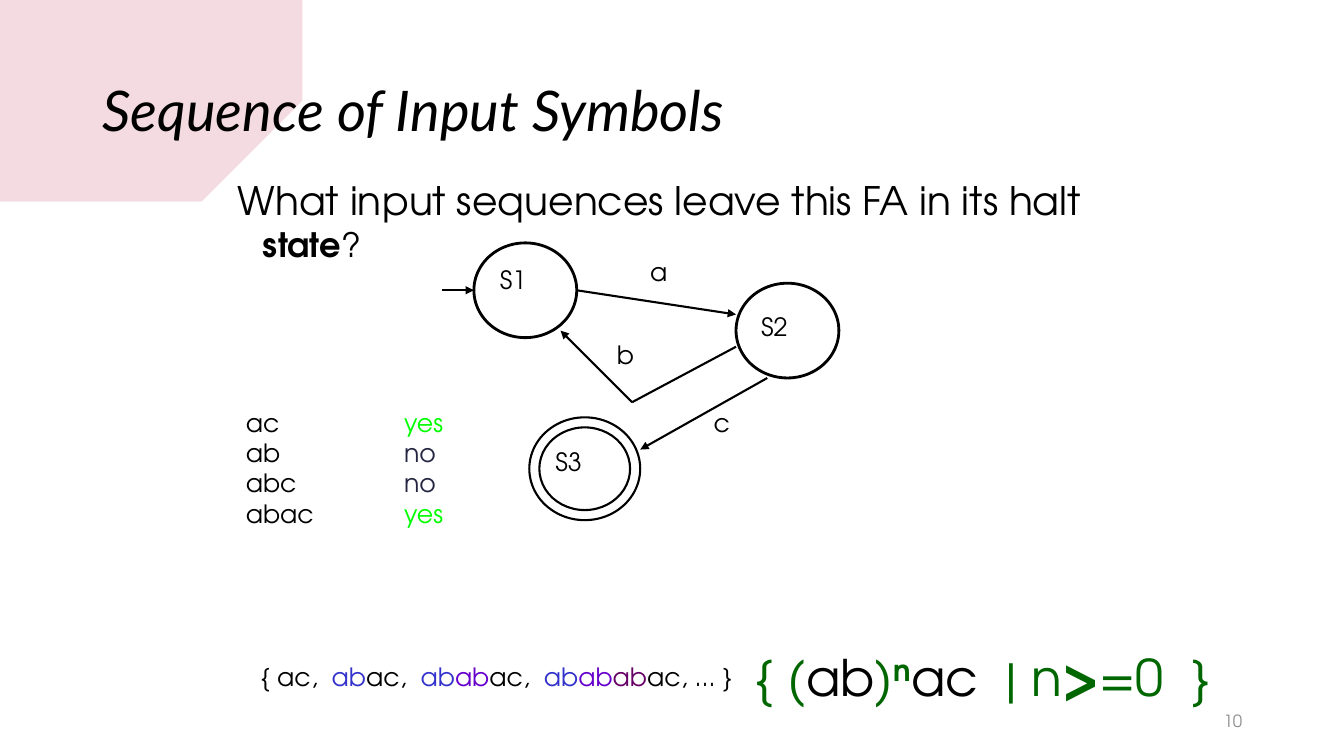
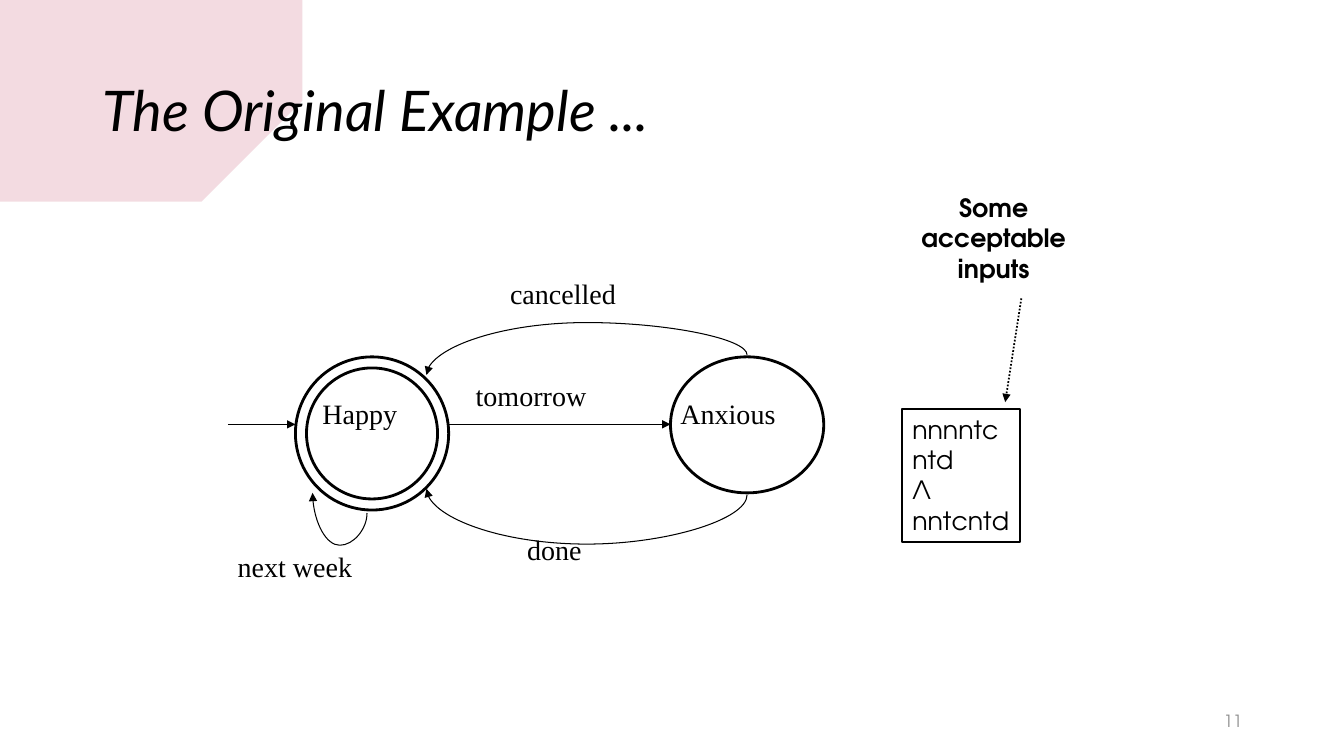
from dataclasses import dataclass

from lxml import etree
from pptx import Presentation
from pptx.dml.color import RGBColor
from pptx.enum.dml import MSO_LINE
from pptx.enum.shapes import MSO_CONNECTOR, MSO_SHAPE
from pptx.enum.text import MSO_ANCHOR, MSO_AUTO_SIZE, PP_ALIGN
from pptx.oxml.ns import qn
from pptx.util import Inches, Pt

STRAIGHT, CURVE = MSO_CONNECTOR.STRAIGHT, MSO_CONNECTOR.CURVE
ELLIPSE, DONUT = MSO_SHAPE.OVAL, MSO_SHAPE.DONUT
LEFT, CENTER, RIGHT = PP_ALIGN.LEFT, PP_ALIGN.CENTER, PP_ALIGN.RIGHT
TOP, MIDDLE = MSO_ANCHOR.TOP, MSO_ANCHOR.MIDDLE
DOTTED = MSO_LINE.ROUND_DOT


@dataclass(frozen=True)
class Theme:
    title_font: str = "Lato"
    body_font: str = "TeX Gyre Adventor"
    diagram_font: str = "Times New Roman"
    title_size: int = 40
    formula_size: int = 36
    question_size: int = 28
    emphasis_size: int = 24
    diagram_size: int = 20
    label_size: int = 18
    number_size: int = 12
    ink: str = "000000"
    paper: str = "FFFFFF"
    brush: str = "C34D6C"
    number: str = "8C8C8C"
    accepted: str = "00FF00"
    rejected: str = "242641"
    formula: str = "006600"
    first_loop: str = "3333CC"
    second_loop: str = "6600CC"
    third_loop: str = "660066"


THEME = Theme()


def add_text(slide, paragraphs, left, top, width, height, font=THEME.body_font,
             size=THEME.label_size, color=THEME.ink, bold=False, italic=False,
             align=LEFT, anchor=TOP, wrap=True, spacing=1.0, hanging=0):
    """Each paragraph is a string or a list of (text, format changes) runs."""
    box = slide.shapes.add_textbox(Inches(left), Inches(top), Inches(width), Inches(height))
    frame = box.text_frame
    frame.word_wrap = wrap
    frame.auto_size = MSO_AUTO_SIZE.NONE if wrap else MSO_AUTO_SIZE.SHAPE_TO_FIT_TEXT
    frame.vertical_anchor = anchor
    for index, content in enumerate(paragraphs):
        paragraph = frame.add_paragraph() if index else frame.paragraphs[0]
        paragraph.alignment = align
        paragraph.line_spacing = spacing
        if hanging:
            properties = paragraph._p.get_or_add_pPr()
            properties.set("marL", str(Inches(hanging)))
            properties.set("indent", str(-Inches(hanging)))
        for text, changes in [(content, {})] if isinstance(content, str) else content:
            run = paragraph.add_run()
            run.text = text
            run.font.name = font
            run.font.size = Pt(changes.get("size", size))
            run.font.bold = changes.get("bold", bold)
            run.font.italic = italic
            run.font.color.rgb = RGBColor.from_string(changes.get("color", color))
            if changes.get("superscript"):
                run.font._element.set("baseline", "30000")
    return box


def add_line(slide, start, end, width=0.75, arrow=True, dash=None, bend_y=None):
    """Draw a straight line, or a curve that swings out to the height bend_y."""
    (x1, y1), (x2, y2) = start, end
    if bend_y is not None:
        # The preset curve bends sideways, so it is laid out for a 270 degree turn.
        middle_x, middle_y = (x1 + x2) / 2, (y1 + y2) / 2
        half_x, half_y = (y1 - y2) / 2, (x2 - x1) / 2
        bend = (bend_y - y1) / (y2 - y1)
        x1, x2 = middle_x - half_x, middle_x + half_x
        y1, y2 = middle_y - half_y, middle_y + half_y
    kind = STRAIGHT if bend_y is None else CURVE
    connector = slide.shapes.add_connector(kind, Inches(x1), Inches(y1), Inches(x2), Inches(y2))
    connector.line.width = Pt(width)
    connector.line.color.rgb = RGBColor.from_string(THEME.ink)
    if dash:
        connector.line.dash_style = dash
    properties = connector._element.spPr
    if bend_y is not None:
        properties.find(qn("a:xfrm")).set("rot", str(270 * 60000))
        geometry = properties.find(qn("a:prstGeom"))
        adjustments = geometry.find(qn("a:avLst"))
        if adjustments is None:
            adjustments = etree.SubElement(geometry, qn("a:avLst"))
        etree.SubElement(adjustments, qn("a:gd"), name="adj1", fmla=f"val {round(bend * 100000)}")
    if arrow:
        etree.SubElement(connector.line._get_or_add_ln(), qn("a:tailEnd"), type="triangle")
    etree.SubElement(properties, qn("a:effectLst"))


presentation = Presentation()
presentation.slide_width = Inches(13.33)
presentation.slide_height = Inches(7.5)

# Shared parts: brush stroke, title and slide number
BRUSH_OUTLINE = [
    (0, 0.34), (0.25, 0.37), (0.66, 0.38), (1.02, 0.37), (1.51, 0.38), (1.94, 0.41),
    (2.48, 0.41), (2.66, 0.41), (2.75, 0.44), (2.8, 0.47), (2.71, 0.49), (2.55, 0.54),
    (2.53, 0.57), (2.56, 0.59), (2.62, 0.62), (2.5, 0.62), (2.38, 0.66), (2.46, 0.68),
    (2.56, 0.7), (2.66, 0.71), (2.75, 0.74), (2.51, 0.75), (2.63, 0.78), (2.73, 0.81),
    (2.8, 0.82), (2.88, 0.83), (2.9, 0.85), (2.87, 0.88), (2.84, 0.88), (2.63, 0.88),
    (2.95, 0.92), (3.3, 0.94), (3.21, 0.97), (3.18, 1.06), (3.07, 1.11), (3, 1.13),
    (2.83, 1.16), (2.8, 1.2), (2.78, 1.25), (2.74, 1.28), (3.08, 1.28), (2.69, 1.38),
    (2.73, 1.42), (2.52, 1.48), (2.63, 1.48), (2.5, 1.55), (1.97, 1.72), (1.55, 1.8),
    (1.02, 1.88), (0.65, 1.91), (0.23, 1.9), (0, 1.88),
]

for number, title in [(10, "Sequence of Input Symbols"), (11, "The Original Example ...")]:
    slide = presentation.slides.add_slide(presentation.slide_layouts[6])
    outline = slide.shapes.build_freeform(*BRUSH_OUTLINE[0], scale=Inches(1))
    outline.add_line_segments(BRUSH_OUTLINE[1:])
    brush = outline.convert_to_shape()
    brush.shadow.inherit = False
    brush.line.fill.background()
    brush.fill.solid()
    brush.fill.fore_color.rgb = RGBColor.from_string(THEME.brush)
    color_element = brush._element.spPr.find(qn("a:solidFill"))[0]
    etree.SubElement(color_element, qn("a:alpha"), val="20000")
    add_text(slide, [title], 0.92, 0.4, 11.5, 1.45, font=THEME.title_font,
             size=THEME.title_size, italic=True, anchor=MIDDLE, spacing=0.9)
    add_text(slide, [str(number)], 9.42, 6.95, 3, 0.4, size=THEME.number_size,
             color=THEME.number, align=RIGHT, anchor=MIDDLE)

symbols_slide, example_slide = presentation.slides

# States of both automata; halt states are rings
for slide, preset, left, top, width, height, line_width, ring in [
    (symbols_slide, ELLIPSE, 4.7, 2.41, 1.02, 0.94, 2, None),
    (symbols_slide, ELLIPSE, 7.3, 2.81, 1.02, 0.94, 2, None),
    (symbols_slide, DONUT, 5.25, 4.14, 1.1, 1.02, 1.5, 0.1),
    (example_slide, ELLIPSE, 6.65, 3.54, 1.52, 1.35, 2, None),
    (example_slide, DONUT, 2.93, 3.54, 1.52, 1.52, 2, 0.11),
]:
    state = slide.shapes.add_shape(preset, Inches(left), Inches(top), Inches(width), Inches(height))
    state.shadow.inherit = False
    state.fill.background()
    state.line.width = Pt(line_width)
    state.line.color.rgb = RGBColor.from_string(THEME.ink)
    if ring:
        state.adjustments[0] = ring / min(width, height)

# Sequence of input symbols
add_text(symbols_slide,
         [[("What input sequences leave this FA in its halt ", {}),
           ("state", {"size": THEME.emphasis_size, "bold": True}),
           ("?", {"size": THEME.emphasis_size})]],
         2.26, 1.7, 9.17, 4.95, size=THEME.question_size, hanging=0.25)

for label, left, top, width in [
    ("S1", 4.86, 2.57, 0.47), ("S2", 7.45, 3.04, 0.47), ("S3", 5.41, 4.38, 0.47),
    ("a", 6.35, 2.49, 0.37), ("b", 6.02, 3.32, 0.37), ("c", 6.98, 3.99, 0.36),
]:
    add_text(symbols_slide, [label], left, top, width, 0.41, wrap=False)

for start, end, arrow in [
    ((4.38, 2.88), (4.7, 2.88), True),
    ((5.72, 2.88), (7.3, 3.12), True),
    ((7.61, 3.75), (6.35, 4.46), True),
    ((7.3, 3.44), (6.27, 3.99), False),
    ((6.27, 3.99), (5.56, 3.28), True),
]:
    add_line(symbols_slide, start, end, width=1.5, arrow=arrow)

accepted = [("yes", {"color": THEME.accepted})]
rejected = [("no", {"color": THEME.rejected})]
add_text(symbols_slide, ["ac", "ab", "abc", "abac"], 2.34, 3.99, 1.57, 1.32)
add_text(symbols_slide, [accepted, rejected, rejected, accepted],
         3.91, 3.99, 0.6, 1.32, wrap=False)

loops = [("ab", {"color": color})
         for color in (THEME.first_loop, THEME.second_loop, THEME.third_loop)]
add_text(symbols_slide,
         [[("{ ac,  ", {}), *loops[:1], ("ac,  ", {}), *loops[:2], ("ac,  ", {}),
           *loops, ("ac, ... }", {})]],
         2.49, 6.51, 6.69, 0.41)
add_text(symbols_slide,
         [[("{ (", {}), ("ab", {"color": THEME.ink}), (")", {}),
           ("n", {"bold": True, "superscript": True}), ("ac", {"color": THEME.ink}),
           ("  | n", {}), (">", {"bold": True}), ("=0  }", {})]],
         7.39, 6.36, 5.83, 0.71, size=THEME.formula_size, color=THEME.formula)

# The original example
for start, end, bend_y in [
    ((2.26, 4.21), (2.93, 4.21), None),
    ((4.45, 4.21), (6.65, 4.21), None),
    ((7.41, 3.52), (4.23, 3.72), 3.2),
    ((3.64, 5.09), (3.1, 4.89), 5.41),
    ((7.41, 4.91), (4.23, 4.85), 5.4),
]:
    add_line(example_slide, start, end, bend_y=bend_y)

for label, left, top, width in [
    ("tomorrow", 4.62, 3.71, 1.86), ("cancelled", 4.96, 2.69, 1.69),
    ("done", 5.13, 5.23, 1.18), ("next week", 2.26, 5.4, 2.03),
    ("Anxious", 6.65, 3.88, 1.69), ("Happy", 3.1, 3.88, 1.52),
]:
    add_text(example_slide, [label], left, top, width, 0.51,
             font=THEME.diagram_font, size=THEME.diagram_size)

add_text(example_slide, ["Some", "acceptable", "inputs"], 9.03, 1.86, 1.65, 1.01,
         bold=True, align=CENTER, wrap=False)
inputs_box = add_text(example_slide, ["nnnntc", "ntd", "Λ", "nntcntd"],
                      8.95, 4.06, 1.17, 1.32, wrap=False)
inputs_box.line.width = Pt(1.5)
inputs_box.line.color.rgb = RGBColor.from_string(THEME.ink)
add_line(example_slide, (10.13, 2.96), (9.97, 3.99), width=1.25, dash=DOTTED)

presentation.save("out.pptx")
